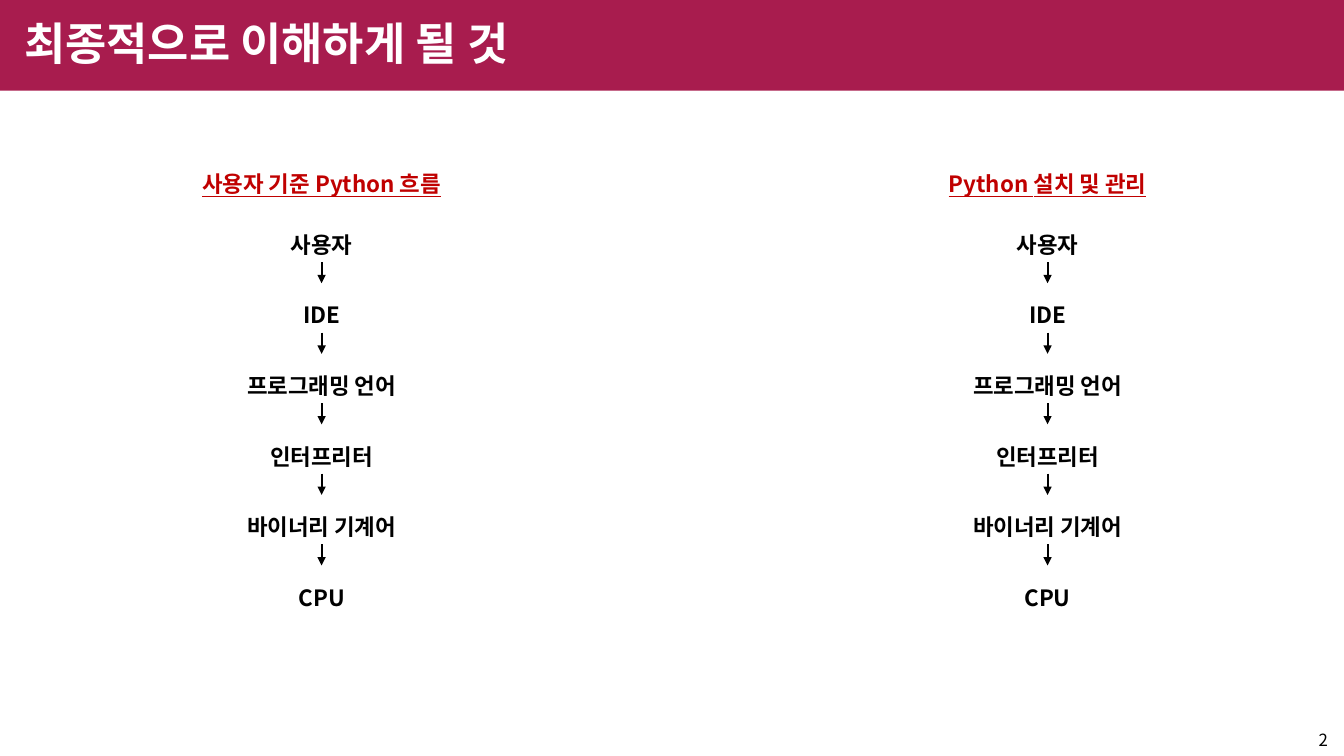
from lxml import etree
from pptx import Presentation
from pptx.dml.color import RGBColor
from pptx.enum.shapes import MSO_CONNECTOR, MSO_SHAPE
from pptx.enum.text import MSO_ANCHOR, PP_ALIGN
from pptx.oxml.ns import qn
from pptx.util import Inches, Pt

RECTANGLE = MSO_SHAPE.RECTANGLE
STRAIGHT = MSO_CONNECTOR.STRAIGHT
MIDDLE = MSO_ANCHOR.MIDDLE
LEFT, CENTER = PP_ALIGN.LEFT, PP_ALIGN.CENTER

CRIMSON = RGBColor(0xA8, 0x1C, 0x4E)
RED = RGBColor(0xC0, 0x00, 0x00)
BLACK = RGBColor(0x00, 0x00, 0x00)
WHITE = RGBColor(0xFF, 0xFF, 0xFF)
FONT = "Noto Sans CJK KR"

SLIDE_WIDTH, SLIDE_HEIGHT = 13.33, 7.5
STEPS = ["사용자", "IDE", "프로그래밍 언어", "인터프리터", "바이너리 기계어", "CPU"]
FLOWS = [(1.57, "사용자 기준 Python 흐름"), (8.77, "Python 설치 및 관리")]
FLOW_TOP, FLOW_WIDTH = 1.51, 3.24
STEP_WIDTH, STEP_HEIGHT = 1.95, 0.49
FIRST_STEP, STEP_PITCH = 0.6, 0.7


def write(shape, text, size, color, bold=True, align=CENTER):
    """Fill a shape with one styled paragraph and return the paragraph."""
    shape.text_frame.word_wrap = True
    paragraph = shape.text_frame.paragraphs[0]
    paragraph.text = text
    paragraph.alignment = align
    font = paragraph.font
    font.name, font.size, font.bold = FONT, Pt(size), bold
    font.color.rgb = color
    # Hangul takes the East Asian typeface
    properties = paragraph._p.pPr.find(qn("a:defRPr"))
    etree.SubElement(properties, qn("a:ea"), typeface=FONT)
    return paragraph


def add_label(slide, left, top, width, text, color=BLACK):
    box = slide.shapes.add_textbox(
        Inches(left), Inches(top), Inches(width), Inches(STEP_HEIGHT))
    paragraph = write(box, text, 16, color)
    paragraph.line_spacing = 1.5
    paragraph.space_before = Pt(7.5)
    return paragraph


def add_arrow(slide, x, top, bottom):
    arrow = slide.shapes.add_connector(
        STRAIGHT, Inches(x), Inches(top), Inches(x), Inches(bottom))
    arrow.line.color.rgb = BLACK
    arrow.line.width = Pt(1.5)
    etree.SubElement(arrow.line._get_or_add_ln(), qn("a:tailEnd"), type="triangle")
    etree.SubElement(arrow._element.spPr, qn("a:effectLst"))


def add_header(slide, width, height):
    # Banner, placed behind the title
    banner = slide.shapes.add_shape(RECTANGLE, 0, 0, Inches(width), Inches(height))
    banner.shadow.inherit = False
    banner.fill.solid()
    banner.fill.fore_color.rgb = CRIMSON
    banner.line.fill.background()
    title = slide.shapes.title
    title._element.addprevious(banner._element)

    # Title
    title.left, title.top = Inches(0.14), Inches(0.1)
    title.width, title.height = Inches(12.32), Inches(0.72)
    title.text_frame.vertical_anchor = MIDDLE
    paragraph = write(title, "최종적으로 이해하게 될 것", 32, WHITE, align=LEFT)
    paragraph.line_spacing = 0.9


def add_flow(slide, left, top, width, heading, steps):
    # Heading
    add_label(slide, left, top, width, heading, RED).font.underline = True

    # Steps, with an arrow from each one to the next
    center = left + width / 2
    for index, step in enumerate(steps):
        step_top = top + FIRST_STEP + index * STEP_PITCH
        add_label(slide, center - STEP_WIDTH / 2, step_top, STEP_WIDTH, step)
        if index < len(steps) - 1:
            add_arrow(slide, center, step_top + STEP_HEIGHT, step_top + STEP_PITCH)


def add_page_number(slide, left, top, width, height):
    box = slide.shapes.add_textbox(
        Inches(left), Inches(top), Inches(width), Inches(height))
    box.text_frame.vertical_anchor = MIDDLE
    write(box, "2", 12, BLACK, bold=False)


def main():
    presentation = Presentation()
    presentation.slide_width = Inches(SLIDE_WIDTH)
    presentation.slide_height = Inches(SLIDE_HEIGHT)
    slide = presentation.slides.add_slide(presentation.slide_layouts[5])
    add_header(slide, SLIDE_WIDTH, 0.9)
    for left, heading in FLOWS:
        add_flow(slide, left, FLOW_TOP, FLOW_WIDTH, heading, STEPS)
    add_page_number(slide, 12.62, 7.21, 1.01, 0.25)
    presentation.save("out.pptx")


if __name__ == "__main__":
    main()
